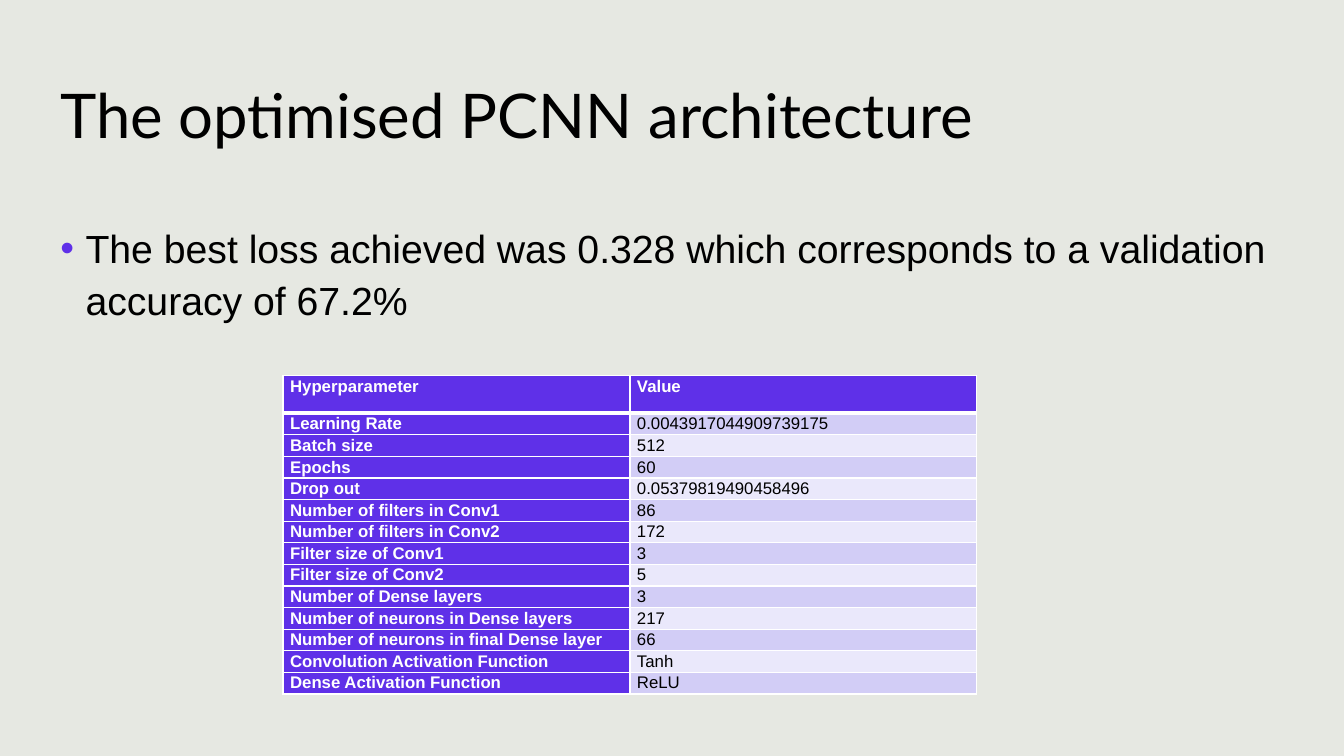
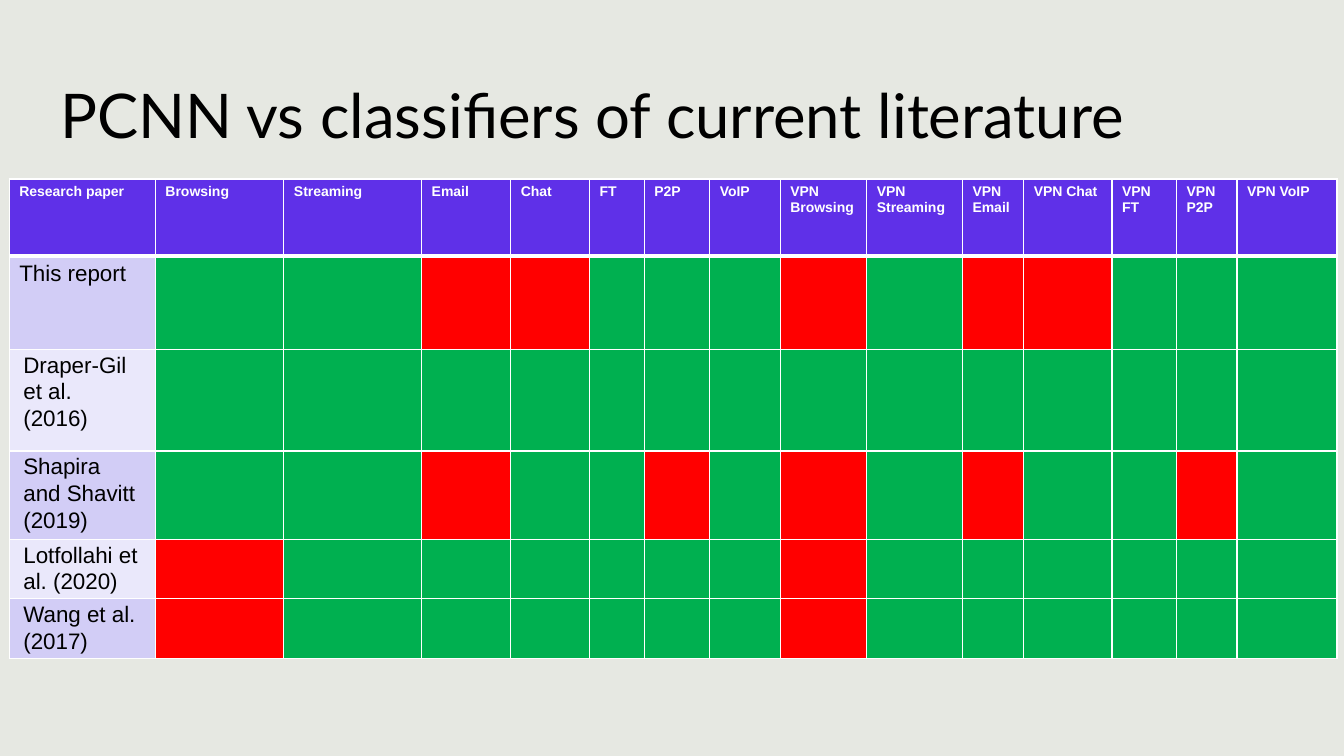
from dataclasses import dataclass

from lxml.etree import SubElement
from pptx import Presentation
from pptx.dml.color import RGBColor as RGB
from pptx.enum.text import MSO_ANCHOR as Anchor, PP_ALIGN as Align
from pptx.oxml.ns import qn
from pptx.util import Inches, Pt


@dataclass(frozen=True)
class Theme:
    paper: str = "E6E8E2"
    accent: str = "5F30E8"
    bands: tuple = ("D2CDF6", "EAE8FB")
    good: str = "00B050"
    bad: str = "FF0000"
    ink: str = "000000"
    light: str = "FFFFFF"
    title_font: str = "Lato"
    font: str = "Arial"
    title_size: int = 44
    body_size: int = 28
    label_size: int = 16
    value_size: int = 12
    head_size: int = 10
    rule: int = 1
    head_rule: int = 3
    spacing: float = 1.07
    after: int = 8


class Deck:
    COLS, ROWS = 160, 90

    def __init__(self, theme):
        self.theme = theme
        self.prs = Presentation()
        self.prs.slide_width, self.prs.slide_height = Inches(13.33), Inches(7.5)
        fill = self.prs.slide_master.background.fill
        fill.solid()
        fill.fore_color.rgb = RGB.from_string(theme.paper)
        self.slide = None

    def x(self, cols):
        return round(self.prs.slide_width * cols / self.COLS)

    def y(self, rows):
        return round(self.prs.slide_height * rows / self.ROWS)

    def set_text(self, tf, text, size, color, font=None, bold=False):
        p = tf.paragraphs[0]
        p.text = text
        for r in p.runs:
            r.font.name = font or self.theme.font
            r.font.size = Pt(size)
            r.font.bold = bold
            r.font.color.rgb = RGB.from_string(color)
        return p

    def box(self, left, top, width, height):
        sp = self.slide.shapes.add_textbox(
            self.x(left), self.y(top), self.x(width), self.y(height))
        sp.text_frame.word_wrap = True
        return sp.text_frame

    def new_slide(self, title):
        t = self.theme
        self.slide = self.prs.slides.add_slide(self.prs.slide_layouts[6])
        tf = self.box(6, 4.8, 143, 17.4)
        tf.vertical_anchor = Anchor.MIDDLE
        self.set_text(tf, title, t.title_size, t.ink, t.title_font)

    def bullet(self, text):
        t = self.theme
        p = self.set_text(self.box(6, 25.6, 148, 55), text, t.body_size, t.ink)
        p.line_spacing = 1.1
        p.space_before = Pt(10)
        pPr = p._p.get_or_add_pPr()
        pPr.set("marL", str(Inches(0.25)))
        pPr.set("indent", str(-Inches(0.25)))
        SubElement(SubElement(pPr, qn("a:buClr")), qn("a:srgbClr"), val=t.accent)
        SubElement(pPr, qn("a:buFont"), typeface=t.font)
        SubElement(pPr, qn("a:buChar"), char="•")

    def table(self, left, top, widths, heights):
        frame = self.slide.shapes.add_table(
            len(heights), len(widths), self.x(left), self.y(top),
            self.x(sum(widths)), self.y(sum(heights)))
        table = frame.table
        table.first_row = table.horz_banding = False
        for column, width in zip(table.columns, widths):
            column.width = self.x(width)
        for row, height in zip(table.rows, heights):
            row.height = self.y(height)
        for i, row in enumerate(table.rows):
            for cell in row.cells:
                self.borders(cell, i)
        return table

    def borders(self, cell, row):
        t = self.theme
        tcPr = cell._tc.get_or_add_tcPr()
        thick = {0: "lnB", 1: "lnT"}.get(row)
        for side in ("lnL", "lnR", "lnT", "lnB"):
            width = t.head_rule if side == thick else t.rule
            ln = SubElement(tcPr, qn(f"a:{side}"), w=str(Pt(width)))
            SubElement(SubElement(ln, qn("a:solidFill")), qn("a:srgbClr"), val=t.light)

    def paint(self, cell, color):
        cell.fill.solid()
        cell.fill.fore_color.rgb = RGB.from_string(color)

    def inset(self, cell, side, top=0.0):
        cell.margin_left = cell.margin_right = Inches(side)
        cell.margin_top, cell.margin_bottom = Inches(top), 0

    def loosen(self, p):
        p.line_spacing = self.theme.spacing
        p.space_after = Pt(self.theme.after)

    def band(self, row):
        return self.theme.bands[(row - 1) % 2]

    def parameter_table(self, rows):
        t = self.theme
        table = self.table(33.7, 44.7, [41.3] * 2, [4.5] + [2.4] * (len(rows) - 1))
        for i, row in enumerate(rows):
            for j, text in enumerate(row):
                strong = i == 0 or j == 0
                cell = table.cell(i, j)
                self.paint(cell, t.accent if strong else self.band(i))
                self.inset(cell, 0.07)
                p = self.set_text(cell.text_frame, text, t.value_size,
                                  t.light if strong else t.ink, bold=strong)
                p.alignment = Align.JUSTIFY
                self.loosen(p)

    def result_table(self, classes, failures, widths, heights):
        t = self.theme
        table = self.table(1.1, 21.3, widths, heights)
        for j, text in enumerate(["Research paper"] + classes):
            cell = table.cell(0, j)
            self.paint(cell, t.accent)
            self.set_text(cell.text_frame, text, t.head_size, t.light, bold=True)
        for i, (paper, failed) in enumerate(failures.items(), 1):
            cell = table.cell(i, 0)
            self.paint(cell, self.band(i))
            p = self.set_text(cell.text_frame, paper, t.label_size, t.ink)
            if i > 1:
                self.inset(cell, 0.14, 0.02)
                self.loosen(p)
            for j, name in enumerate(classes, 1):
                self.paint(table.cell(i, j), t.bad if name in failed else t.good)


PARAMETERS = [
    ("Hyperparameter", "Value"),
    ("Learning Rate", "0.0043917044909739175"),
    ("Batch size", "512"),
    ("Epochs", "60"),
    ("Drop out", "0.05379819490458496"),
    ("Number of filters in Conv1", "86"),
    ("Number of filters in Conv2", "172"),
    ("Filter size of Conv1", "3"),
    ("Filter size of Conv2", "5"),
    ("Number of Dense layers", "3"),
    ("Number of neurons in Dense layers", "217"),
    ("Number of neurons in final Dense layer", "66"),
    ("Convolution Activation Function", "Tanh"),
    ("Dense Activation Function", "ReLU"),
]

TRAFFIC = ["Browsing", "Streaming", "Email", "Chat", "FT", "P2P", "VoIP"]
CLASSES = TRAFFIC + [f"VPN {name}" for name in TRAFFIC]

FAILURES = {
    "This report": {"Email", "Chat", "VPN Browsing", "VPN Email", "VPN Chat"},
    "Draper-Gil et al. (2016)": set(),
    "Shapira and Shavitt (2019)": {"Email", "P2P", "VPN Browsing", "VPN Email", "VPN P2P"},
    "Lotfollahi et al. (2020)": {"Browsing", "VPN Browsing"},
    "Wang et al. (2017)": {"Browsing", "VPN Browsing"},
}

CLASS_WIDTHS = [17.4, 15.3, 16.4, 10.6, 9.4, 6.5, 7.8, 8.4,
                10.3, 11.4, 7.3, 10.5, 7.7, 7.2, 11.9]
PAPER_HEIGHTS = [9.2, 11.1, 12.1, 9.8, 7, 7]


def main():
    deck = Deck(Theme())
    deck.new_slide("The optimised PCNN architecture")
    deck.bullet("The best loss achieved was 0.328 which corresponds to a "
                "validation accuracy of 67.2%")
    deck.parameter_table(PARAMETERS)
    deck.new_slide("PCNN vs classifiers of current literature")
    deck.result_table(CLASSES, FAILURES, CLASS_WIDTHS, PAPER_HEIGHTS)
    deck.prs.save("out.pptx")


if __name__ == "__main__":
    main()
